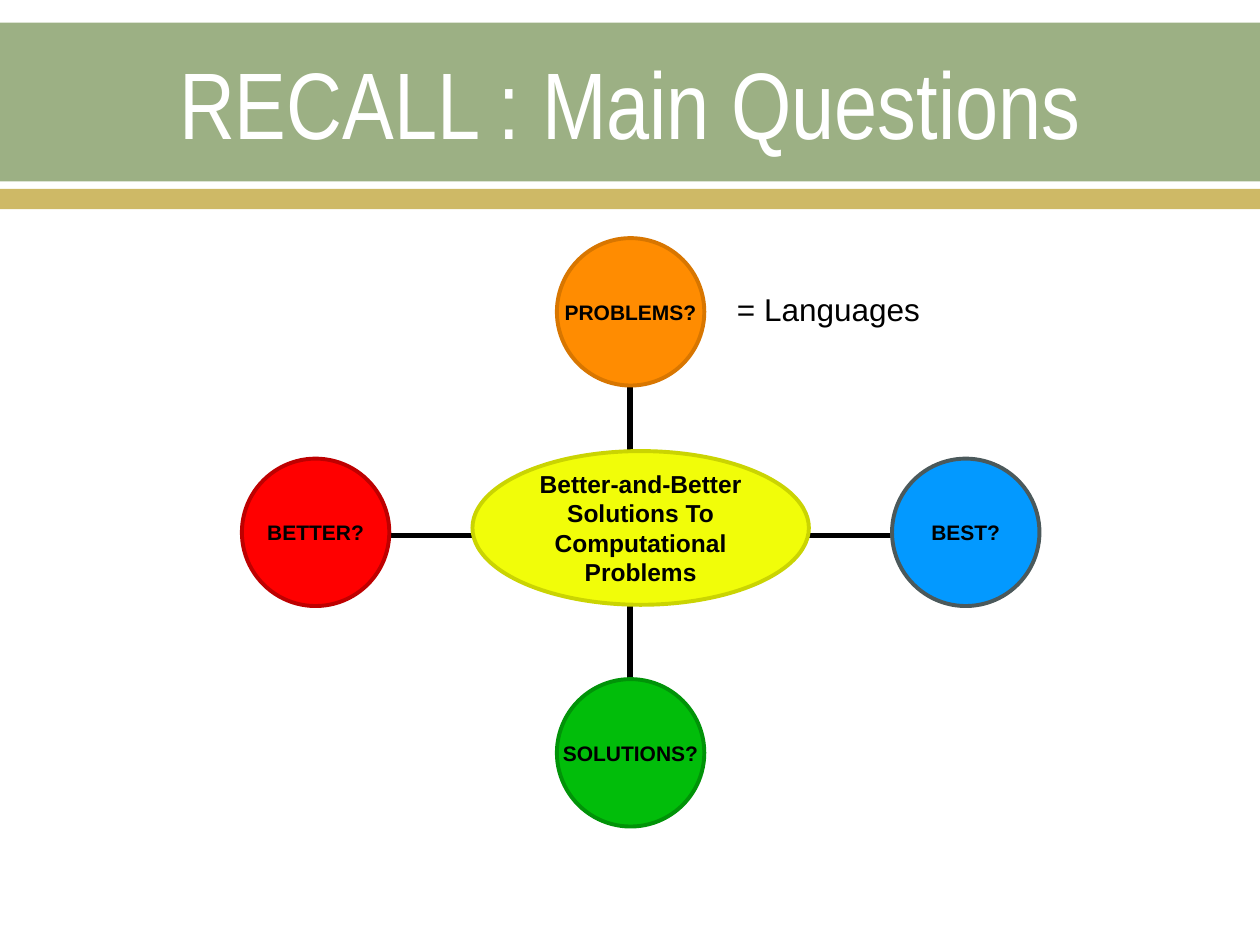
from pptx import Presentation
from pptx.dml.color import RGBColor
from pptx.enum.shapes import MSO_CONNECTOR, MSO_SHAPE
from pptx.enum.text import MSO_ANCHOR, PP_ALIGN
from pptx.oxml.ns import qn
from pptx.util import Inches, Pt
from lxml import etree


def rgb(value):
    return RGBColor.from_string(value)


def put_text(sp, text, color="000000", align=PP_ALIGN.CENTER, wrap=True, inset=0, **font):
    tf = sp.text_frame
    frame = dict(word_wrap=wrap, vertical_anchor=MSO_ANCHOR.MIDDLE)
    for side in ("left", "top", "right", "bottom"):
        frame["margin_" + side] = Inches(inset)
    for name, value in frame.items():
        setattr(tf, name, value)
    p = tf.paragraphs[0]
    p.alignment = align
    r = p.add_run()
    r.text = text
    for name, value in font.items():
        setattr(r.font, name, value)
    r.font.color.rgb = rgb(color)


prs = Presentation()
prs.slide_width, prs.slide_height = Inches(10), Inches(7.5)
s = prs.slides.add_slide(prs.slide_layouts[6])

for top, height, color in [(0.18, 1.26, "9CB084"), (1.5, 0.16, "CEB966")]:
    band = s.shapes.add_shape(MSO_SHAPE.RECTANGLE, 0, Inches(top), prs.slide_width, Inches(height))
    band.shadow.inherit = False
    band.fill.solid()
    band.fill.fore_color.rgb = rgb(color)
    band.line.fill.background()

title = s.shapes.add_textbox(Inches(0.5), Inches(0.2), Inches(9), Inches(1.22))
put_text(title, "RECALL : Main Questions", "FFFFFF", inset=0.05, size=Pt(54), name="Arial Narrow")

spokes = [
    (3.75, 4.25, 3.08, 4.25),
    (5, 4.81, 5, 5.39),
    (6.42, 4.25, 7.09, 4.25),
    (5, 3.64, 5, 3.06),
]
for ends in spokes:
    spoke = s.shapes.add_connector(MSO_CONNECTOR.STRAIGHT, *map(Inches, ends))
    spoke.line.color.rgb = rgb("000000")
    spoke.line.width = Pt(3)
    etree.SubElement(spoke.element.spPr, qn("a:effectLst"))

size = 1.17
ovals = [
    ("BETTER?", 1.92, 3.64, size, size, "FF0000", "BE0000", 12, False),
    ("SOLUTIONS?", 4.42, 5.39, size, size, "01BD0A", "019308", 12, False),
    ("BEST?", 7.08, 3.64, size, size, "0399FF", "4B595B", 12, False),
    ("PROBLEMS?", 4.42, 1.89, size, size, "FF8C01", "D87600", 12, False),
    ("Better-and-Better Solutions To Computational Problems",
     3.75, 3.58, 2.67, 1.22, "F1FD09", "CAD402", 14, True),
]
for text, left, top, width, height, fill, outline, points, wrap in ovals:
    oval = s.shapes.add_shape(MSO_SHAPE.OVAL, *map(Inches, (left, top, width, height)))
    oval.shadow.inherit = False
    oval.fill.solid()
    oval.fill.fore_color.rgb = rgb(fill)
    oval.line.color.rgb = rgb(outline)
    oval.line.width = Pt(2.25)
    put_text(oval, text, wrap=wrap, size=Pt(points), name="Arial", bold=True)

note = s.shapes.add_textbox(Inches(5.75), Inches(2.25), Inches(1.65), Inches(0.4))
put_text(note, "= Languages", align=PP_ALIGN.LEFT, wrap=False, inset=0.1, size=Pt(18), name="Arial")

prs.save("out.pptx")
